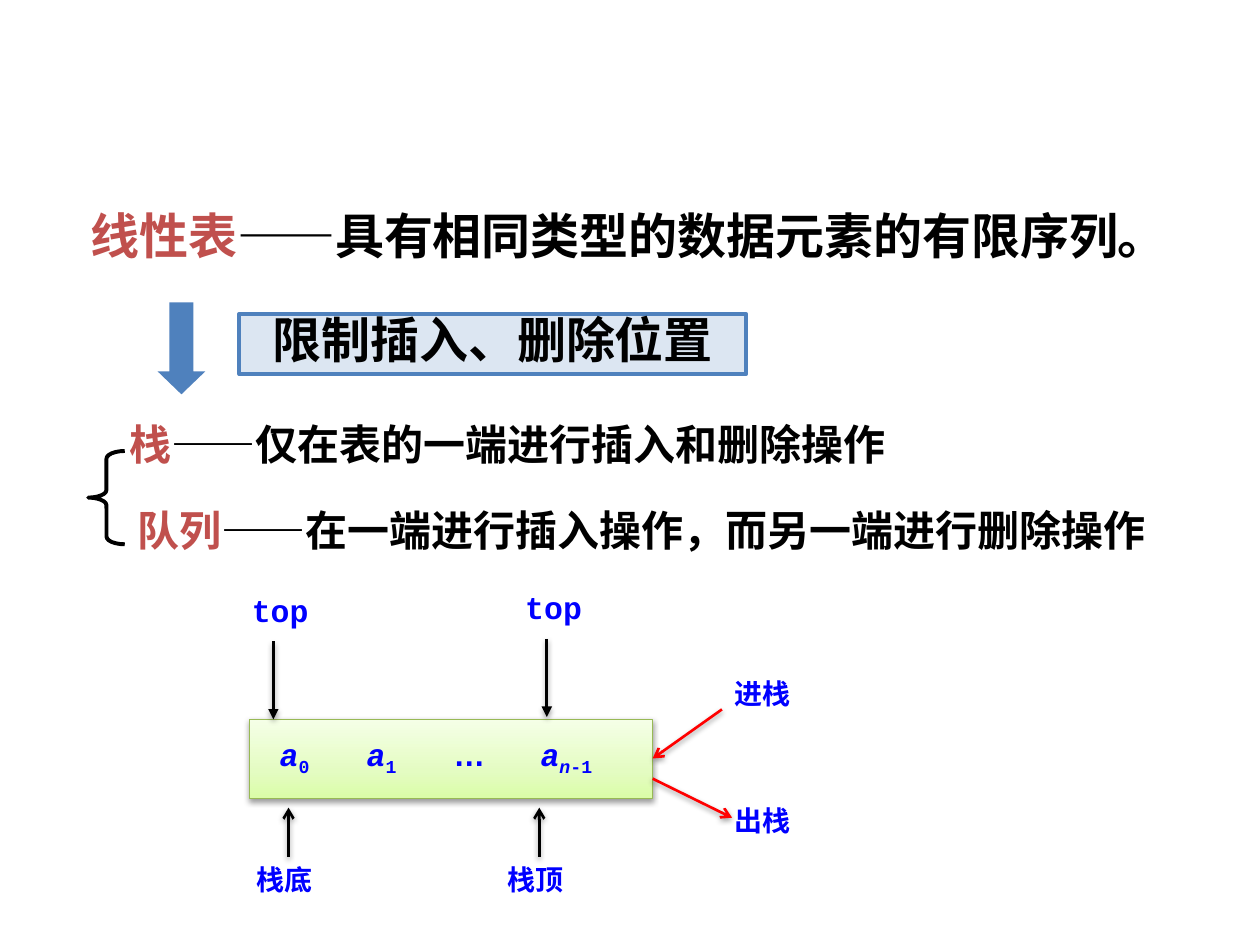
from copy import deepcopy
from dataclasses import dataclass

from lxml.etree import SubElement
from pptx import Presentation
from pptx.dml.color import RGBColor
from pptx.enum.shapes import MSO_CONNECTOR as CONN, MSO_SHAPE as SHAPE
from pptx.enum.text import MSO_ANCHOR as ANCHOR, MSO_AUTO_SIZE as AUTO, PP_ALIGN as ALIGN
from pptx.oxml.ns import qn
from pptx.util import Inches, Pt


@dataclass(frozen=True)
class Theme:
    """Colours, fonts and type sizes of the slide."""
    black: str = "000000"
    term: str = "C0504D"
    label: str = "0000FF"
    accent: str = "4F81BD"
    pale: str = "DCE6F2"
    move: str = "FF0000"
    stack_line: str = "98B955"
    stack_fill: tuple = ((0, "DAFDA7"), (0.35, "E4FCC2"), (1, "F5FFE7"))
    sans: str = "Arial"
    cjk: str = "Noto Sans CJK SC"
    mono: str = "Courier New"
    head: int = 28
    body: int = 24
    code: int = 18
    note: int = 16


T = Theme()


def rgb(value):
    """Turn a hex string into a colour."""
    return RGBColor.from_string(value)


def add_run(p, text, size, color, font=T.sans, italic=None, sub=False):
    """Add one bold run to a paragraph."""
    r = p.add_run()
    r.text = text
    f = r.font
    f.name, f.size, f.bold, f.italic = font, Pt(size), True, italic
    f.color.rgb = rgb(color)
    SubElement(r._r.rPr, qn("a:ea"), typeface=font)
    if sub:
        r._r.rPr.set("baseline", "-25000")


def add_text(shapes, box):
    """Add a wrapping text box and return its first paragraph."""
    tf = shapes.add_textbox(*map(Inches, box)).text_frame
    tf.word_wrap = True
    tf.auto_size = AUTO.SHAPE_TO_FIT_TEXT
    return tf.paragraphs[0]


def add_definition(shapes, box, term, meaning, size, align=ALIGN.CENTER):
    """Add a term, a dash and its meaning on one line."""
    p = add_text(shapes, box)
    p.alignment, p.line_spacing = align, 0.8
    add_run(p, term, size, T.term)
    add_run(p, "——", size, T.black, T.cjk)
    add_run(p, meaning, size, T.black)


def add_label(shapes, x, y, text, size=T.note, font=T.cjk, height=0.37):
    """Add a short blue label."""
    add_run(add_text(shapes, (x, y, 0.78, height)), text, size, T.label, font)


def add_preset(shapes, kind, box, fill=None, line=None, width=2.25):
    """Add a preset shape with a plain fill and outline."""
    sp = shapes.add_shape(kind, *map(Inches, box))
    if fill:
        sp.fill.solid()
        sp.fill.fore_color.rgb = rgb(fill)
    else:
        sp.fill.background()
    if line:
        sp.line.color.rgb = rgb(line)
        sp.line.width = Pt(width)
    else:
        sp.line.fill.background()
    sp.shadow.inherit = False
    return sp


def add_shadow(effects):
    """Put a soft downward shadow in an effect list."""
    shadow = SubElement(effects, qn("a:outerShdw"), blurRad="40000", dist="20000",
                        dir="5400000", rotWithShape="0")
    color = SubElement(shadow, qn("a:srgbClr"), val=T.black)
    SubElement(color, qn("a:alpha"), val="38000")


def add_arrow(shapes, start, end, color=T.black, head="arrow"):
    """Add a shadowed arrow between two points."""
    cx = shapes.add_connector(CONN.STRAIGHT, *map(Inches, start + end))
    cx.line.color.rgb = rgb(color)
    cx.line.width = Pt(1.5)
    SubElement(cx.line._get_or_add_ln(), qn("a:tailEnd"), type=head)
    add_shadow(SubElement(cx._element.spPr, qn("a:effectLst")))


def add_pointer(shapes, x, y):
    """Add a grouped top label with an arrow below it."""
    group = shapes.add_group_shape().shapes
    add_arrow(group, (x, y + 0.45), (x, y + 1.07), head="triangle")
    add_label(group, x - 0.27, y, "top", T.code, T.mono, 0.4)


def add_stack_box(shapes, box):
    """Add the gradient box that lists the stack elements."""
    sp = add_preset(shapes, SHAPE.RECTANGLE, box, line=T.stack_line, width=0.75)
    sp.fill.gradient()
    sp.fill.gradient_angle = 90
    stops = sp._element.spPr.find(".//" + qn("a:gsLst"))
    stops.append(deepcopy(stops[0]))
    for stop, (position, color) in zip(sp.fill.gradient_stops, T.stack_fill):
        stop.position, stop.color.rgb = position, rgb(color)
    add_shadow(sp._element.spPr.find(qn("a:effectLst")))

    tf = sp.text_frame
    tf.word_wrap, tf.vertical_anchor = True, ANCHOR.TOP
    tf.margin_left, tf.margin_top = Inches(0.24), Inches(0.12)
    p = tf.paragraphs[0]
    p.alignment = ALIGN.LEFT
    tabs = SubElement(p._p.get_or_add_pPr(), qn("a:tabLst"))
    for i in range(1, 4):
        SubElement(tabs, qn("a:tab"), pos=str(Inches(0.69 * i)), algn="l")
    for index in ("0\t", "1\t"):
        add_run(p, "a", T.code, T.label, T.mono, True)
        add_run(p, index, T.code, T.label, T.mono, False, True)
    add_run(p, "…\t", T.code, T.label, T.sans, False)
    add_run(p, "a", T.code, T.label, T.mono, True)
    add_run(p, "n", T.code, T.label, T.mono, True, True)
    add_run(p, "-1", T.code, T.label, T.mono, False, True)


def add_restriction(shapes):
    """Add the down arrow and the framed restriction."""
    arrow = add_preset(shapes, SHAPE.DOWN_ARROW, (1.25, 2.4, 0.38, 0.73), T.accent)
    arrow.adjustments[1] = 0.48
    frame = add_preset(shapes, SHAPE.RECTANGLE, (1.9, 2.49, 4.02, 0.48), T.pale, T.accent)
    tf = frame.text_frame
    tf.word_wrap, tf.vertical_anchor = True, ANCHOR.MIDDLE
    tf.auto_size = AUTO.SHAPE_TO_FIT_TEXT
    p = tf.paragraphs[0]
    p.alignment, p.line_spacing = ALIGN.CENTER, 0.8
    add_run(p, "限制插入、删除位置", T.head, T.black)


def add_special_lists(shapes):
    """Add the braced definitions of stack and queue."""
    group = shapes.add_group_shape().shapes
    add_definition(group, (0.93, 3.35, 8.45, 0.42), "栈",
                   "仅在表的一端进行插入和删除操作", T.body, ALIGN.LEFT)
    add_definition(group, (0.92, 4.03, 8.34, 0.5), "队列",
                   "在一端进行插入操作，而另一端进行删除操作", T.body)
    brace = add_preset(group, SHAPE.LEFT_BRACE, (0.7, 3.58, 0.29, 0.74), line=T.black)
    brace.adjustments[0] = 0.21


def add_stack(shapes):
    """Add the stack diagram with its ends, moves and pointers."""
    group = shapes.add_group_shape().shapes
    add_stack_box(group, (1.98, 5.71, 3.2, 0.63))
    for x, text in ((2.29, "栈底"), (4.28, "栈顶")):
        add_arrow(group, (x, 6.8), (x, 6.41))
        add_label(group, x - 0.35, 6.8, text)
    add_arrow(group, (5.73, 5.63), (5.18, 6.02), T.move)
    add_arrow(group, (5.18, 6.18), (5.81, 6.49), T.move)
    add_label(group, 5.73, 5.32, "进栈")
    add_label(group, 5.73, 6.33, "出栈")
    add_pointer(shapes, 2.17, 4.64)
    add_pointer(shapes, 4.34, 4.62)


def main():
    """Build the slide and save it."""
    prs = Presentation()
    prs.slide_width, prs.slide_height = Inches(10), Inches(7.5)
    shapes = prs.slides.add_slide(prs.slide_layouts[6]).shapes
    add_definition(shapes, (0.57, 1.67, 8.84, 0.57), "线性表",
                   "具有相同类型的数据元素的有限序列。", T.head)
    add_restriction(shapes)
    add_special_lists(shapes)
    add_stack(shapes)
    prs.save("out.pptx")


if __name__ == "__main__":
    main()
